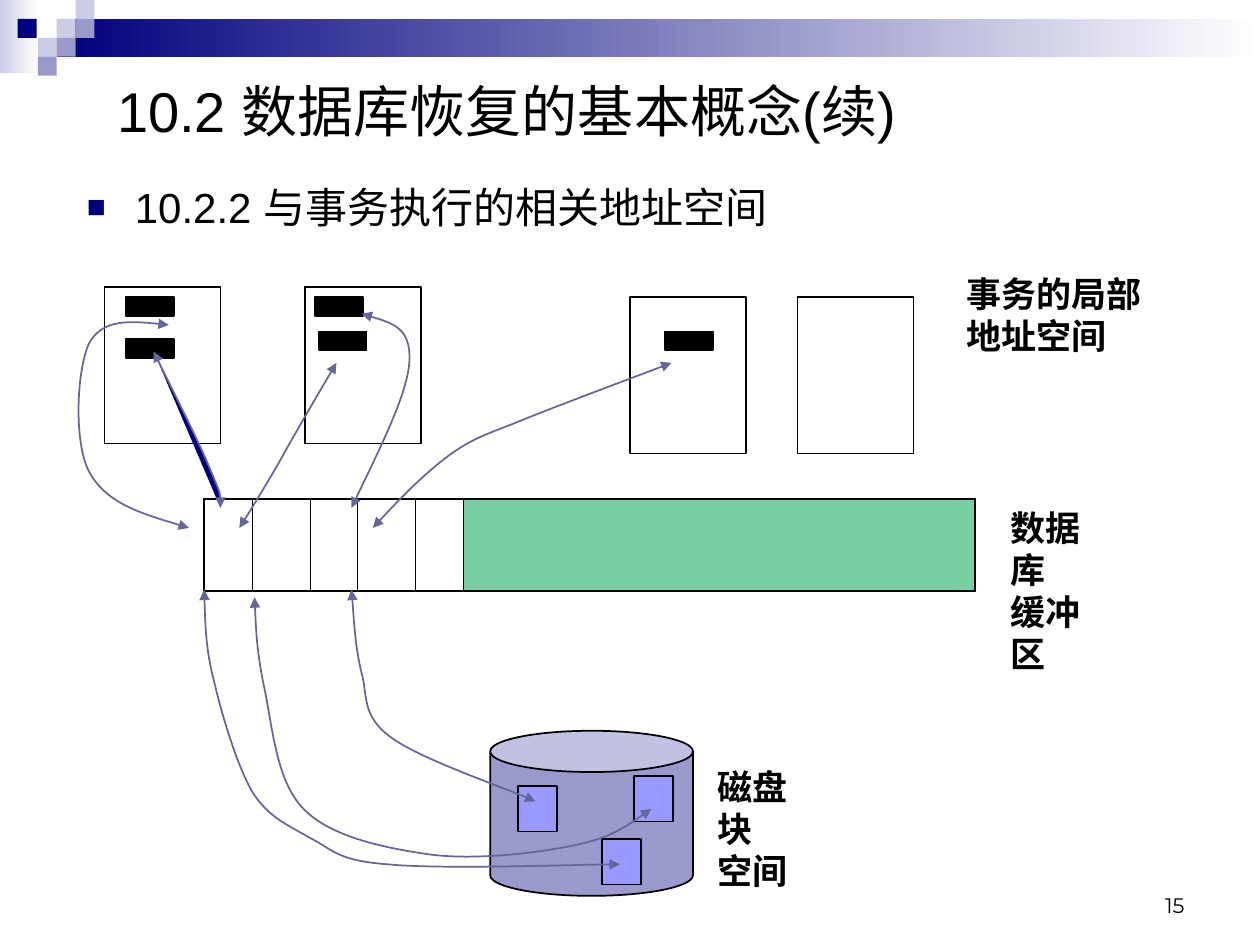
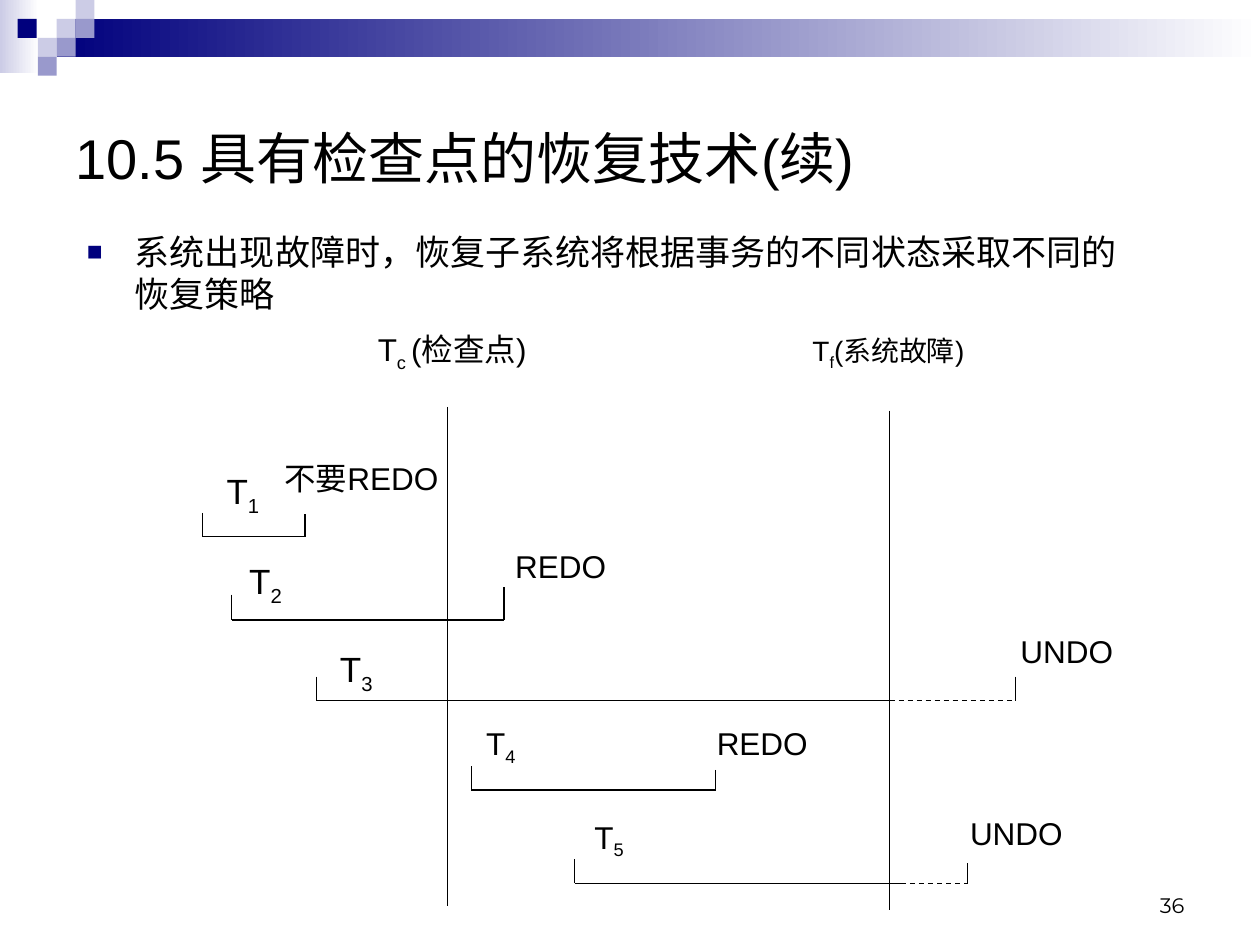
from dataclasses import dataclass

from lxml.etree import SubElement
from pptx import Presentation
from pptx.dml.color import RGBColor
from pptx.enum.dml import MSO_LINE_DASH_STYLE as DASH
from pptx.enum.shapes import MSO_CONNECTOR, MSO_SHAPE as SHAPE
from pptx.enum.text import MSO_ANCHOR as ANCHOR, MSO_AUTO_SIZE as FIT, PP_ALIGN as ALIGN
from pptx.oxml.ns import qn
from pptx.util import Inches, Pt

BLACK = RGBColor(0x00, 0x00, 0x00)
WHITE = RGBColor(0xFF, 0xFF, 0xFF)
NAVY = RGBColor(0x00, 0x00, 0x7D)
LILAC = RGBColor(0x99, 0x99, 0xCC)
PALE_LILAC = RGBColor(0xCC, 0xCC, 0xE6)
BLOCK_BLUE = RGBColor(0x99, 0x99, 0xFF)
ARROW_SLATE = RGBColor(0x66, 0x66, 0x99)
BUFFER_GREEN = RGBColor(0x76, 0xCE, 0xA2)

TEXT_FONT, LABEL_FONT, NUMBER_FONT = "Arial", "Cambria", "Montserrat"

# Every slide is laid out on a grid of 100 columns by 75 rows.
SLIDE_WIDTH, SLIDE_HEIGHT = Inches(10), Inches(7.5)
COLUMN, ROW = SLIDE_WIDTH / 100, SLIDE_HEIGHT / 75
TITLE_AND_CONTENT = 1


def place(left, top, width, height):
    return [round(size * unit) for size, unit in
            zip((left, top, width, height), (COLUMN, ROW, COLUMN, ROW))]


class Deck:
    """Holds the shared style and the slide being filled."""

    def __init__(self):
        self.presentation = Presentation()
        self.presentation.slide_width = SLIDE_WIDTH
        self.presentation.slide_height = SLIDE_HEIGHT
        self.slide = None

    def start(self, number):
        layout = self.presentation.slide_layouts[TITLE_AND_CONTENT]
        self.slide = self.presentation.slides.add_slide(layout)
        self.band()
        self.text((71.7, 68.3, 23.3, 5), [[(number, False)]], 12, NUMBER_FONT,
                  align=ALIGN.RIGHT, anchor=ANCHOR.BOTTOM)

    def band(self):
        for box, colour in [((0, 0, 3.1, 5.8), PALE_LILAC), ((4.5, 1.5, 95.5, 3), NAVY)]:
            fade = self.shape(box, colour, outlined=False)
            fade.fill.gradient()
            fade.fill.gradient_angle = 0
            for stop, shade in zip(fade.fill.gradient_stops, (colour, WHITE)):
                stop.color.rgb = shade
        for left, top, colour in [(4.5, 1.5, PALE_LILAC), (6, 0, PALE_LILAC), (6, 1.5, LILAC),
                                  (3, 3, PALE_LILAC), (1.4, 1.5, NAVY), (4.5, 3, LILAC),
                                  (3, 4.5, LILAC)]:
            self.shape((left, top, 1.5, 1.5), colour, outlined=False)

    def styled_run(self, paragraph, content, size, font=TEXT_FONT, bold=False, lowered=False):
        run = paragraph.add_run()
        run.text = content
        run.font.size = Pt(size)
        run.font.name = font
        run.font.bold = bold
        run.font.color.rgb = BLACK
        if lowered:
            run.font._element.set("baseline", "-25000")

    def fill_placeholder(self, holder, box, content, size, anchor):
        holder.left, holder.top, holder.width, holder.height = place(*box)
        frame = holder.text_frame
        frame.auto_size = FIT.NONE
        frame.word_wrap = True
        frame.vertical_anchor = anchor
        paragraph = frame.paragraphs[0]
        paragraph.alignment = ALIGN.LEFT
        self.styled_run(paragraph, content, size)
        return paragraph

    def title(self, box, content):
        self.fill_placeholder(self.slide.shapes.title, box, content, 32, ANCHOR.MIDDLE)

    def bullet(self, box, content, size, space_before):
        paragraph = self.fill_placeholder(self.slide.placeholders[1], box, content, size,
                                          ANCHOR.TOP)
        paragraph.space_before = Pt(space_before)
        properties = paragraph._p.get_or_add_pPr()
        properties.set("marL", str(Inches(0.38)))
        properties.set("indent", str(-Inches(0.38)))
        colour = SubElement(properties, qn("a:buClr"))
        SubElement(colour, qn("a:srgbClr"), val=str(NAVY))
        SubElement(properties, qn("a:buSzPct"), val="75000")
        SubElement(properties, qn("a:buFont"), typeface=TEXT_FONT)
        SubElement(properties, qn("a:buChar"), char="■")

    def text(self, box, lines, size, font=TEXT_FONT, bold=False, wrap=True,
             align=ALIGN.LEFT, anchor=ANCHOR.TOP):
        """Each line is a list of (content, lowered) runs."""
        frame = self.slide.shapes.add_textbox(*place(*box)).text_frame
        frame.word_wrap = wrap
        frame.vertical_anchor = anchor
        for index, runs in enumerate(lines):
            paragraph = frame.add_paragraph() if index else frame.paragraphs[0]
            paragraph.alignment = align
            for content, lowered in runs:
                self.styled_run(paragraph, content, size, font, bold, lowered)

    def shape(self, box, fill, kind=SHAPE.RECTANGLE, outlined=True):
        shape = self.slide.shapes.add_shape(kind, *place(*box))
        shape.shadow.inherit = False
        shape.fill.solid()
        shape.fill.fore_color.rgb = fill
        if outlined:
            shape.line.color.rgb = BLACK
            shape.line.width = Pt(1)
        else:
            shape.line.fill.background()
        return shape

    def line(self, start, end, width=0.75, dashed=False):
        ends = place(*start, *end)
        connector = self.slide.shapes.add_connector(MSO_CONNECTOR.STRAIGHT, *ends)
        connector.line.color.rgb = BLACK
        connector.line.width = Pt(width)
        if dashed:
            connector.line.dash_style = DASH.DASH
        SubElement(connector._element.spPr, qn("a:effectLst"))

    def curved_arrow(self, points, fill=None):
        """Two-headed Bezier: a start, then two control points and an end per segment."""
        start, *rest = [(round(x * COLUMN), round(y * ROW)) for x, y in points]
        builder = self.slide.shapes.build_freeform(*start)
        builder.add_line_segments(rest, close=False)
        arrow = builder.convert_to_shape()
        outline = next(arrow._element.iter(qn("a:path")))
        corners = outline.findall(qn("a:lnTo"))
        for first in range(0, len(corners), 3):
            curve = SubElement(outline, qn("a:cubicBezTo"))
            for corner in corners[first:first + 3]:
                curve.append(corner[0])
                outline.remove(corner)
        arrow.shadow.inherit = False
        if fill is None:
            arrow.fill.background()
        else:
            arrow.fill.solid()
            arrow.fill.fore_color.rgb = fill
        arrow.line.color.rgb = ARROW_SLATE
        arrow.line.width = Pt(1)
        for end in ("a:headEnd", "a:tailEnd"):
            SubElement(arrow.line._ln, qn(end), type="triangle")

    def strip(self, box, widths, last_fill):
        """One-row table whose last cell is coloured."""
        table = self.slide.shapes.add_table(1, len(widths), *place(*box)).table
        table.first_row = table.horz_banding = False
        last = len(widths) - 1
        for index, width in enumerate(widths):
            table.columns[index].width = round(width * COLUMN)
            cell = table.cell(0, index)
            borders = {"L": 0.45 if index else 1.08, "R": 1.08 if index == last else 0.45,
                       "T": 1.08, "B": 1.08}
            for side, weight in borders.items():
                border = SubElement(cell._tc.get_or_add_tcPr(), qn(f"a:ln{side}"),
                                    w=str(Pt(weight)))
                SubElement(SubElement(border, qn("a:solidFill")), qn("a:srgbClr"),
                           val=str(BLACK))
            if index == last:
                cell.fill.solid()
                cell.fill.fore_color.rgb = last_fill
            else:
                cell.fill.background()


@dataclass
class Transaction:
    """A bracket on the time axis; crash_end marks where its line turns dashed."""
    left: float
    right: float
    base: float
    left_rise: float
    right_rise: float
    crash_end: float = None

    def draw(self, deck):
        solid_end = self.crash_end or self.right
        deck.line((self.left, self.base), (solid_end, self.base))
        if self.crash_end:
            deck.line((solid_end, self.base), (self.right, self.base), dashed=True)
        for side, rise in ((self.left, self.left_rise), (self.right, self.right_rise)):
            deck.line((side, self.base - rise), (side, self.base))


def address_spaces(deck):
    deck.start("15")
    deck.title((8.3, 5.2, 78.8, 7), "10.2 数据库恢复的基本概念(续)")
    deck.bullet((5.9, 13.9, 85, 5.8), "10.2.2 与事务执行的相关地址空间", 24, 6)
    deck.strip((16.2, 39.6, 61.3, 7.3), [3.8, 4.6, 3.8, 4.6, 3.8, 40.6], BUFFER_GREEN)

    disk = deck.shape((38.9, 58, 16.1, 13.1), LILAC, SHAPE.CAN)
    disk.adjustments[0] = 0.25
    for left, top in [(41.1, 62.4), (47.8, 66.6), (50.3, 61.6)]:
        deck.shape((left, top, 3.1, 3.6), BLOCK_BLUE)
    for left, top in [(8.3, 22.8), (24.2, 22.8), (50, 23.6), (63.3, 23.6)]:
        deck.shape((left, top, 9.2, 12.4), WHITE)
    for left, top in [(10, 23.6), (10, 26.9), (25.3, 26.3), (52.8, 26.3), (25, 23.6)]:
        deck.shape((left, top, 3.8, 1.5), BLACK)

    disk_transfers = [
        [(16.2, 46.8), (16.3, 49.1), (16.3, 51.4), (17, 54.1), (17.6, 56.7), (18.8, 60.7),
         (20, 62.8), (21.3, 64.9), (22.9, 65.5), (24.6, 66.5), (26.4, 67.4), (26.7, 68.3),
         (30.8, 68.6), (34.9, 69), (46.1, 68.6), (49.2, 68.6)],
        [(20.2, 47.4), (20.3, 49.7), (20.4, 51.9), (21, 54.7), (21.6, 57.5), (21.9, 62),
         (24.1, 64.2), (26.2, 66.4), (30.5, 67.3), (34, 67.8), (37.6, 68.3), (42.6, 67.7),
         (45.5, 67.1), (48.5, 66.5), (50.1, 65.3), (51.7, 64.2)],
        [(27.9, 46.8), (28.1, 49.1), (28.2, 51.4), (28.7, 53.4), (29.2, 55.3), (28.7, 56.8),
         (31, 58.5), (33.3, 60.2), (40.6, 62.7), (42.5, 63.6)],
    ]
    local_reads = [
        [(13.4, 25.8), (10.8, 25.5), (8.2, 25.3), (7.1, 27.2), (6.1, 29.2), (5.8, 35.1),
         (7.1, 37.5), (8.5, 40), (11.7, 40.9), (15, 41.9)],
        [(28.7, 24.9), (30.7, 25.5), (32.6, 26), (32.5, 28.6), (32.4, 31.1), (30.1, 35.7),
         (27.9, 40.3)],
        [(26.7, 28.8), (25, 31.7), (23.3, 34.6), (22.1, 36.8), (20.8, 39), (19.9, 40.5),
         (19, 41.9)],
        [(53.3, 28.8), (49.1, 30.4), (44.8, 32), (41.8, 33.2), (38.9, 34.4), (37.8, 34.6),
         (35.7, 36.1), (33.7, 37.6), (31.6, 39.7), (29.6, 41.9)],
    ]
    for points in disk_transfers + local_reads:
        deck.curved_arrow(points)
    deck.curved_arrow([(12.2, 27.9), (14, 31.6), (15.9, 35.3), (16.7, 37.3), (17.6, 39.4),
                       (17.6, 39.8), (17.5, 40.3)], NAVY)

    for left, top, width, lines in [(79.2, 39.7, 10.3, ("数据库", "缓冲区")),
                                    (75.7, 21.1, 15.9, ("事务的局部", "地址空间")),
                                    (56, 60.3, 10.3, ("磁盘块", "空间"))]:
        deck.text((left, top, width, 7.7), [[(line, False)] for line in lines], 20,
                  LABEL_FONT, bold=True, wrap=False)


def checkpoint_recovery(deck):
    deck.start("36")
    deck.title((5, 6.8, 90, 11.4), "10.5 具有检查点的恢复技术(续)")
    deck.bullet((5.9, 17.8, 85, 11.8),
                "系统出现故障时，恢复子系统将根据事务的不同状态采取不同的恢复策略", 20, 15)

    checkpoint, failure = 35.5, 70.6
    for moment, top in [(checkpoint, 32.3), (failure, 32.6)]:
        deck.line((moment, top), (moment, top + 39.6), width=0.5)
    for transaction in [Transaction(16.1, 24.2, 42.6, 1.9, 1.8),
                        Transaction(18.4, 40, 49.2, 2, 2.6),
                        Transaction(25.1, 80.6, 55.6, 1.9, 1.9, crash_end=failure),
                        Transaction(37.4, 56.8, 62.7, 1.9, 1.6),
                        Transaction(45.6, 76.8, 70.1, 1.9, 1.6, crash_end=71.5)]:
        transaction.draw(deck)

    for left, top, width, size, mark, note in [(29, 25.7, 15.6, 18, "c ", "(检查点)"),
                                               (63.5, 26, 15.6, 16, "f", "(系统故障)")]:
        deck.text((left, top, width, 7.3), [[("T", False), (mark, True), (note, False)]], size)
    for left, top, size, index in [(17, 36.8, 20, "1"), (18.8, 43.9, 20, "2"),
                                   (26, 50.9, 20, "3"), (37.6, 57, 18, "4"),
                                   (46.2, 64.4, 18, "5")]:
        deck.text((left, top, 8, 7.3), [[("T", False), (index, True)]], size)
    for left, top, width, action in [(21.6, 35.9, 15.6, "不要REDO"), (39.9, 42.9, 11.9, "REDO"),
                                     (80, 49.7, 11.1, "UNDO"), (55.9, 57, 11.9, "REDO"),
                                     (76, 64.1, 10.2, "UNDO")]:
        deck.text((left, top, width, 7.3), [[(action, False)]], 18)


def main():
    deck = Deck()
    address_spaces(deck)
    checkpoint_recovery(deck)
    deck.presentation.save("out.pptx")


if __name__ == "__main__":
    main()
